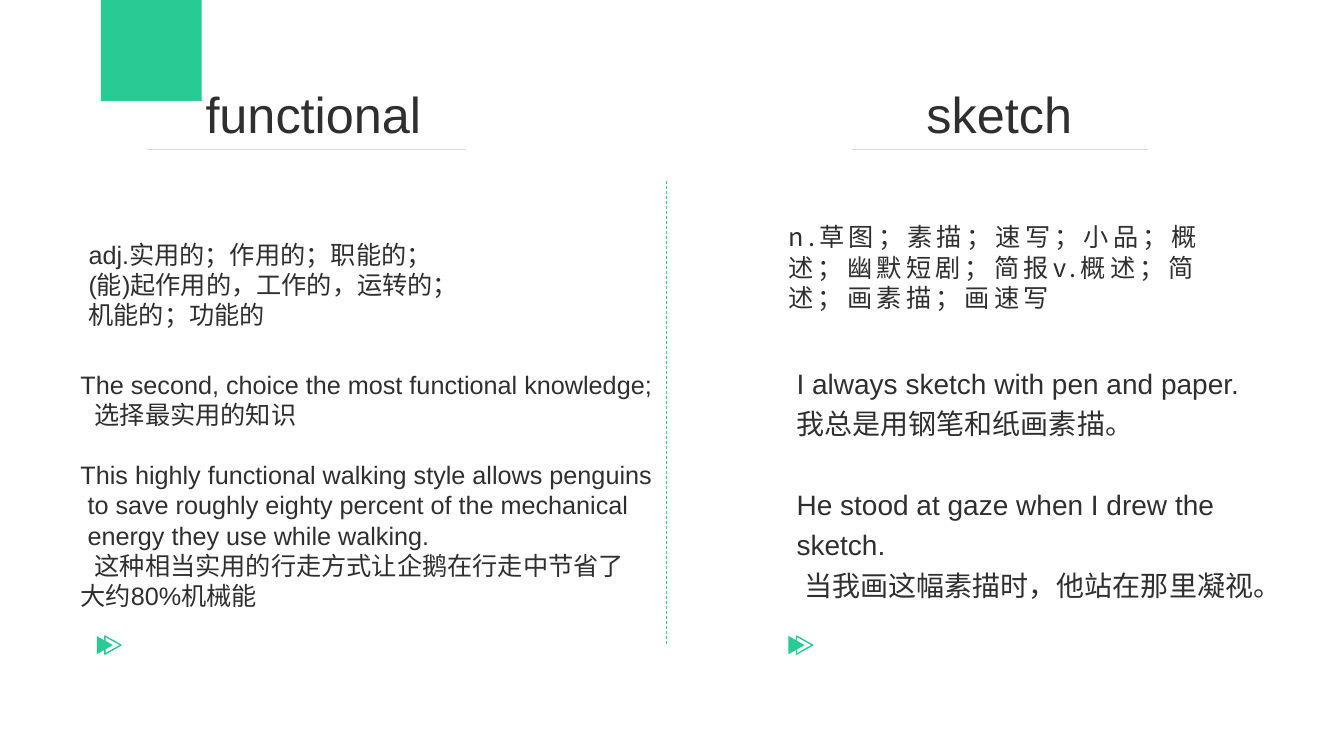
from dataclasses import dataclass

from lxml import etree
from pptx import Presentation
from pptx.dml.color import RGBColor
from pptx.enum.dml import MSO_LINE
from pptx.enum.shapes import MSO_CONNECTOR, MSO_SHAPE
from pptx.enum.text import MSO_AUTO_SIZE
from pptx.oxml.ns import qn
from pptx.util import Inches, Pt

DASH, STRAIGHT = MSO_LINE.DASH, MSO_CONNECTOR.STRAIGHT
TRIANGLE, FIT = MSO_SHAPE.ISOSCELES_TRIANGLE, MSO_AUTO_SIZE.SHAPE_TO_FIT_TEXT


@dataclass(frozen=True)
class Theme:
    green: RGBColor = RGBColor.from_string("28CB94")
    ink: RGBColor = RGBColor.from_string("2F2F2F")
    rule: RGBColor = RGBColor.from_string("D9D9D9")
    font: str = "Arial"
    title: int = 36
    body: int = 18
    large: int = 20
    hair: float = 0.5


T = Theme()
WIDTH, HEIGHT = 13.33, 7.5
PAD = (0.1, 0.05)

# Each paragraph: text, left indent in spaces, blank lines before it
MEANING_LEFT = [("adj.实用的；作用的；职能的；", 0, 0),
                ("(能)起作用的，工作的，运转的；", 0, 0),
                ("机能的；功能的", 0, 0)]
EXAMPLES_LEFT = [("The second, choice the most functional knowledge;", 0, 0),
                 ("选择最实用的知识", 2, 0),
                 ("This highly functional walking style allows penguins", 0, 1),
                 ("to save roughly eighty percent of the mechanical", 1, 0),
                 ("energy they use while walking.", 1, 0),
                 ("这种相当实用的行走方式让企鹅在行走中节省了", 2, 0),
                 ("大约80%机械能", 0, 0)]
MEANING_RIGHT = [("n.草图；素描；速写；小品；概述；幽默短剧；简报v.概述；简述；画素描；画速写", 0, 0)]
EXAMPLES_RIGHT = [("I always sketch with pen and paper. 我总是用钢笔和纸画素描。", 0, 0),
                  ("He stood at gaze when I drew the sketch.", 0, 1),
                  ("当我画这幅素描时，他站在那里凝视。", 1, 0)]

# Box (left, top, width, height), paragraphs, format
TEXTS = [
    ((1.94, 0.78, 2.6, 0.71), [("functional", 0, 0)], dict(size=T.title)),
    ((9.09, 0.78, 1.66, 0.71), [("sketch", 0, 0)], dict(size=T.title, wrap=False)),
    ((0.78, 2.32, 6.67, 1.01), MEANING_LEFT, {}),
    ((0.7, 3.61, 6.67, 2.52), EXAMPLES_LEFT, {}),
    ((7.82, 2.2, 4.11, 0.91), MEANING_RIGHT,
     dict(pad=(0, 0), tracking=3, font="Noto Sans CJK SC")),
    ((7.9, 3.57, 4.55, 2.39), EXAMPLES_RIGHT,
     dict(size=T.large, pad=(0, 0), spacing=1.2)),
]
# Start, end, colour, dash
LINES = [((6.61, 1.8), (6.61, 6.41), T.green, DASH),
         ((1.46, 1.48), (4.62, 1.48), T.rule, None),
         ((8.45, 1.48), (11.39, 1.48), T.rule, None)]
MARKER_LEFTS, MARKER_TOP, MARKER_STEP = (0.95, 7.81), 6.32, 0.08
BLOB_START = (1.87, 1.04)
BLOB_CURVES = [((1.95, 0.97), (1.96, 0.85), (1.72, 0.59)),
               ((1.48, 0.33), (1.41, 0.23), (1.18, 0.28)),
               ((0.95, 0.32), (0.74, 0.47), (0.73, 0.67)),
               ((0.72, 0.87), (0.79, 0.98), (1.14, 1.16)),
               ((1.44, 1.31), (1.8, 1.1), BLOB_START)]


def paint(sp, fill=None, line=None):
    sp.shadow.inherit = False
    if fill is None:
        sp.fill.background()
    else:
        sp.fill.solid()
        sp.fill.fore_color.rgb = fill
    if line is None:
        sp.line.fill.background()
    else:
        sp.line.color.rgb = line
        sp.line.width = Pt(1)


def bezier(start, curves, steps=16):
    """Return points along a chain of cubic curves."""
    points, a = [], start
    for b, c, d in curves:
        for i in range(1, steps + 1):
            t = i / steps
            weights = ((1 - t) ** 3, 3 * t * (1 - t) ** 2, 3 * t * t * (1 - t), t ** 3)
            points.append(tuple(sum(w * p[k] for w, p in zip(weights, (a, b, c, d)))
                                for k in (0, 1)))
        a = d
    return points


def add_blob(slide):
    fb = slide.shapes.build_freeform(*BLOB_START, scale=Inches(1))
    fb.add_line_segments(bezier(BLOB_START, BLOB_CURVES), close=True)
    paint(fb.convert_to_shape(), fill=T.green)


def add_line(slide, start, end, color, dash):
    ln = slide.shapes.add_connector(STRAIGHT, *map(Inches, start + end))
    ln.line.color.rgb = color
    ln.line.width = Pt(T.hair)
    if dash:
        ln.line.dash_style = dash
    etree.SubElement(ln._element.spPr, qn("a:effectLst"))


def add_marker(slide, left):
    """Draw a solid and an outlined triangle, both pointing right."""
    for i, colors in enumerate((dict(fill=T.green), dict(line=T.green))):
        sp = slide.shapes.add_shape(TRIANGLE, Inches(left + i * MARKER_STEP),
                                    Inches(MARKER_TOP), Inches(0.18), Inches(0.16))
        sp.rotation = 90
        paint(sp, **colors)


def add_text(slide, box, paragraphs, size=T.body, font=T.font, pad=PAD,
             spacing=1.0, tracking=0, wrap=True):
    tf = slide.shapes.add_textbox(*map(Inches, box)).text_frame
    tf.word_wrap, tf.auto_size = wrap, FIT
    tf.margin_left = tf.margin_right = Inches(pad[0])
    tf.margin_top = tf.margin_bottom = Inches(pad[1])
    for i, (text, spaces, blanks) in enumerate(paragraphs):
        p = tf.paragraphs[0] if i == 0 else tf.add_paragraph()
        p.line_spacing = spacing
        if blanks:
            p.space_before = Pt(round(blanks * size * spacing * 1.2, 1))
        if spaces:
            p._p.get_or_add_pPr().set("marL", str(Pt(spaces * size * 0.28)))
        r = p.add_run()
        r.text = text
        r.font.name, r.font.size, r.font.color.rgb = font, Pt(size), T.ink
        if tracking:
            r._r.get_or_add_rPr().set("spc", str(tracking * 100))


def main():
    prs = Presentation()
    prs.slide_width, prs.slide_height = Inches(WIDTH), Inches(HEIGHT)
    slide = prs.slides.add_slide(prs.slide_layouts[6])
    add_blob(slide)
    for line in LINES:
        add_line(slide, *line)
    for left in MARKER_LEFTS:
        add_marker(slide, left)
    for box, paragraphs, style in TEXTS:
        add_text(slide, box, paragraphs, **style)
    prs.save("out.pptx")


if __name__ == "__main__":
    main()
